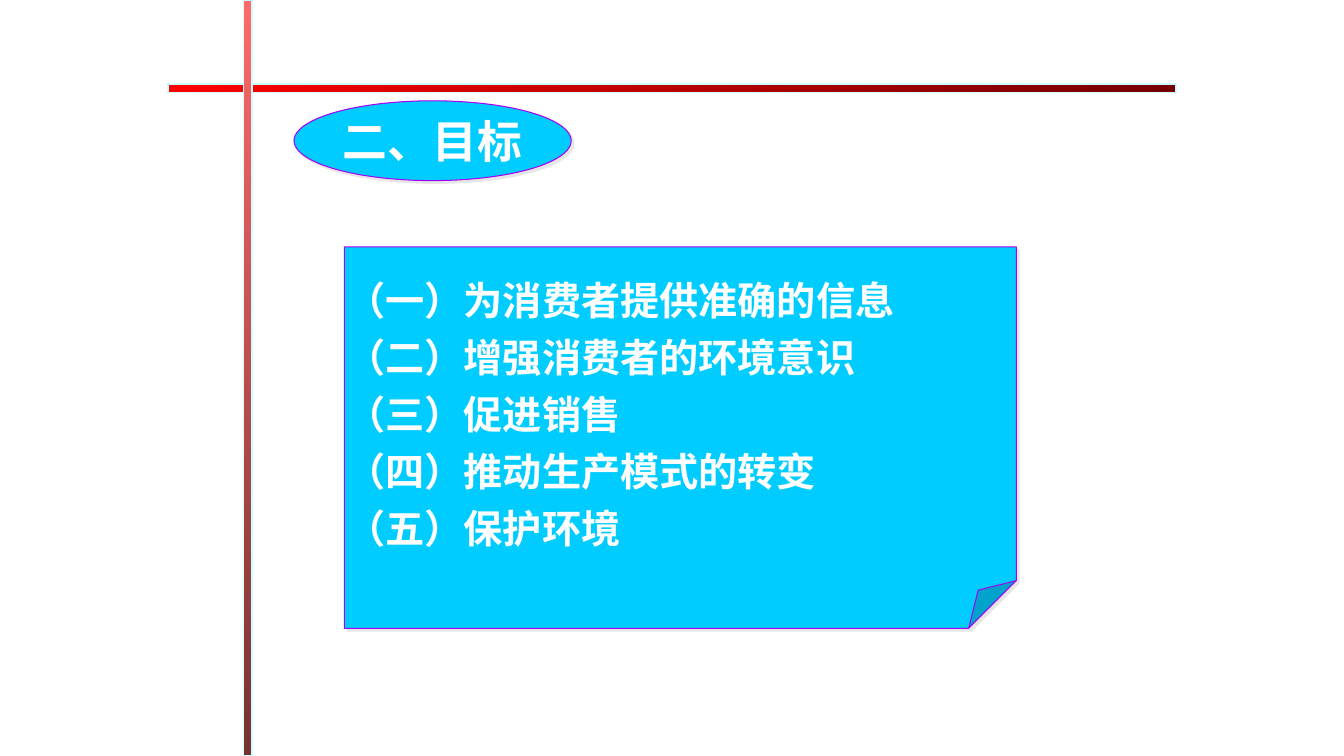
"""Build the goals slide on a grid of 16 columns by 9 rows."""
from lxml.etree import SubElement
from pptx import Presentation
from pptx.dml.color import RGBColor
from pptx.enum.shapes import MSO_SHAPE
from pptx.enum.text import MSO_ANCHOR, PP_ALIGN
from pptx.oxml.ns import qn
from pptx.util import Inches, Pt

COLS, ROWS = 16, 9
HIGH = Inches(7.5)
UNIT = HIGH / ROWS
HUES = {
    "red": "FF0000", "maroon": "760000", "rose": "FF6969", "wine": "763131",
    "pale": "CCFFFF", "cyan": "00CCFF", "violet": "A500F8",
    "shade": "E7E6E6", "white": "FFFFFF",
}
GOALS = [
    "（一）为消费者提供准确的信息",
    "（二）增强消费者的环境意识",
    "（三）促进销售",
    "（四）推动生产模式的转变",
    "（五）保护环境",
]


def hue(name):
    return RGBColor.from_string(HUES[name])


def add_form(slide, kind, cell, edge, width):
    form = slide.shapes.add_shape(kind, *(round(n * UNIT) for n in cell))
    form.shadow.inherit = False
    form.line.color.rgb = hue(edge)
    form.line.width = Pt(width)
    return form


def add_bar(slide, cell, tones, angle):
    bar = add_form(slide, MSO_SHAPE.RECTANGLE, cell, "pale", 1)
    bar.fill.gradient()
    bar.fill.gradient_angle = angle
    for stop, tone in zip(bar.fill.gradient_stops, tones):
        stop.color.rgb = hue(tone)


def add_shade(form):
    effects = form._element.spPr.find(qn("a:effectLst"))
    shade = SubElement(effects, qn("a:outerShdw"), dist=str(Pt(2.8)),
                       dir="2700000", algn="ctr", rotWithShape="0")
    SubElement(shade, qn("a:srgbClr"), val=HUES["shade"])


def add_panel(slide, kind, cell):
    panel = add_form(slide, kind, cell, "violet", 0.75)
    panel.fill.solid()
    panel.fill.fore_color.rgb = hue("cyan")
    add_shade(panel)
    return panel


def set_fold(form, share):
    guides = form._element.spPr.find(qn("a:prstGeom")).find(qn("a:avLst"))
    SubElement(guides, qn("a:gd"), name="adj",
               fmla=f"val {round(share * 100000)}")


def write(form, lines, size, align=PP_ALIGN.LEFT, gap=0):
    frame = form.text_frame
    frame.word_wrap = True
    frame.vertical_anchor = MSO_ANCHOR.MIDDLE
    frame.margin_left = frame.margin_right = Inches(0.02)
    frame.margin_top = frame.margin_bottom = Inches(0.01)
    for rank, line in enumerate(lines):
        para = frame.add_paragraph() if rank else frame.paragraphs[0]
        para.alignment = align
        para.space_before = Pt(gap if rank else 0)
        run = para.add_run()
        run.text = line
        run.font.name = "Times New Roman"
        run.font.size = Pt(size)
        run.font.bold = True
        run.font.color.rgb = hue("white")


def main():
    deck = Presentation()
    deck.slide_width, deck.slide_height = round(COLS * UNIT), HIGH
    slide = deck.slides.add_slide(deck.slide_layouts[6])
    add_bar(slide, (2, 1, 12, 0.1), ("red", "maroon"), 0)
    add_bar(slide, (2.9, 0, 0.1, ROWS), ("rose", "wine"), 270)
    title = add_panel(slide, MSO_SHAPE.OVAL, (3.5, 1.2, 3.3, 0.95))
    write(title, ["二、目标"], 32, align=PP_ALIGN.CENTER)
    note = add_panel(slide, MSO_SHAPE.FOLDED_CORNER, (4.1, 2.94, 8, 4.54))
    set_fold(note, 0.125)
    write(note, GOALS, 28, gap=7)
    deck.save("out.pptx")


if __name__ == "__main__":
    main()
